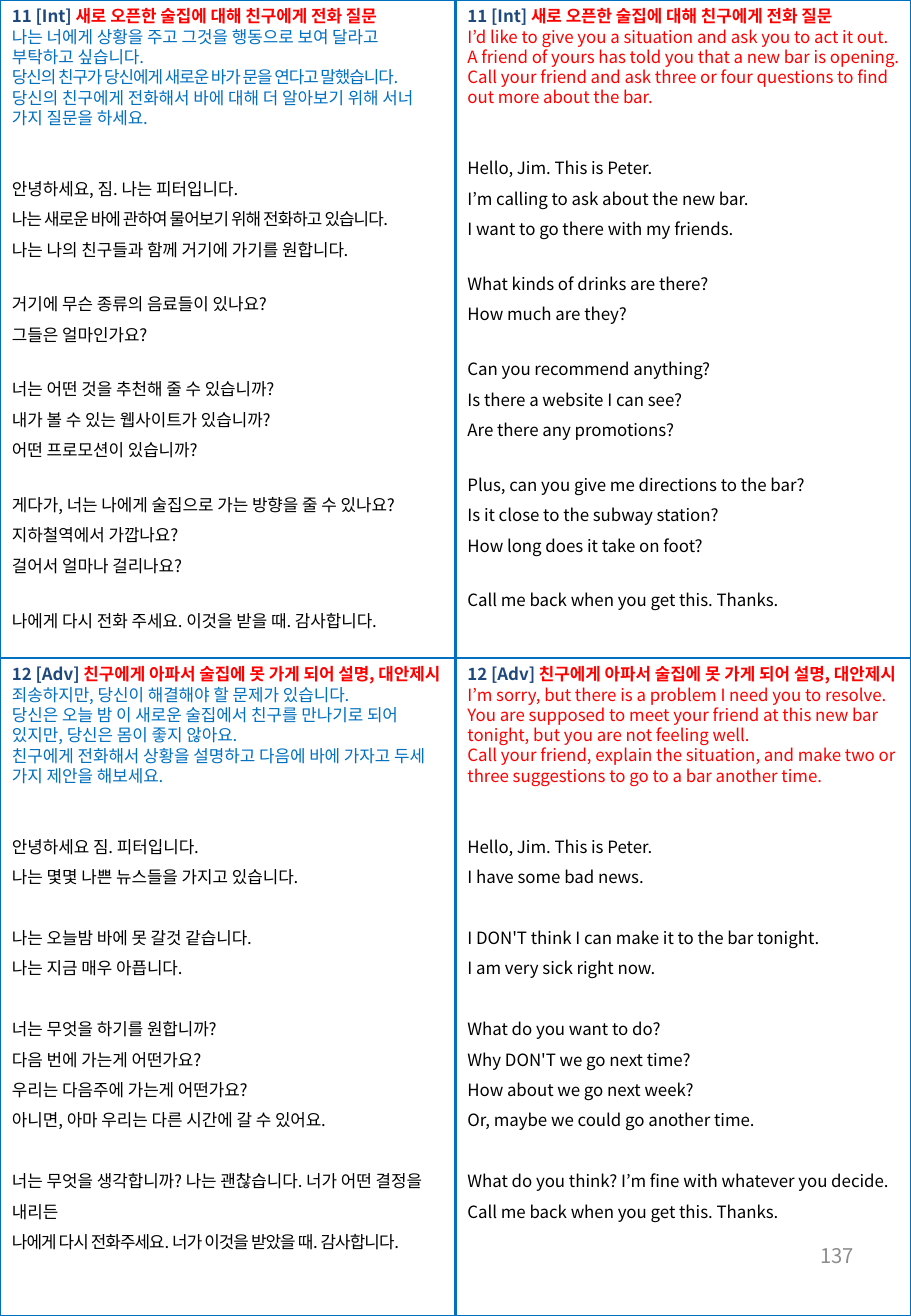
import pptx
import pptx.util
import pptx.dml.color
import pptx.enum.shapes
import pptx.enum.text
import pptx.oxml
import pptx.oxml.ns

Inches, Pt = pptx.util.Inches, pptx.util.Pt
COLORS = {"rule": "0070C0", "label": "1F497D", "red": "FF0000",
          "blue": "0070C0", "answer": "000000", "page": "8C8C8C"}
FONT = "Noto Sans CJK KR"
WIDTH, HEIGHT = 7.5, 10.83
MIDDLE_X, MIDDLE_Y = WIDTH / 2, HEIGHT / 2
BAR_TOPIC = "새로 오픈한 술집에 대해 친구에게 전화 질문"
SICK_TOPIC = "친구에게 아파서 술집에 못 가게 되어 설명, 대안제시"

CARDS = [
    dict(box=(0, 0, MIDDLE_X, 5.45), label="11 [Int] ", topic=BAR_TOPIC, prompt_color="blue", gap=14.4,
         prompt=["나는 너에게 상황을 주고 그것을 행동으로 보여 달라고 부탁하고 싶습니다.",
                 ("당신의 친구가 당신에게 새로운 바가 문을 연다고 말했습니다.", -0.6),
                 "당신의 친구에게 전화해서 바에 대해 더 알아보기 위해 서너 가지 질문을 하세요."],
         answer=[["안녕하세요, 짐. 나는 피터입니다.",
                  ("나는 새로운 바에 관하여 물어보기 위해 전화하고 있습니다.", -0.5),
                  "나는 나의 친구들과 함께 거기에 가기를 원합니다."],
                 ["거기에 무슨 종류의 음료들이 있나요?", "그들은 얼마인가요?"],
                 ["너는 어떤 것을 추천해 줄 수 있습니까?", "내가 볼 수 있는 웹사이트가 있습니까?",
                  "어떤 프로모션이 있습니까?"],
                 ["게다가, 너는 나에게 술집으로 가는 방향을 줄 수 있나요?", "지하철역에서 가깝나요?",
                  "걸어서 얼마나 걸리나요?"],
                 ["나에게 다시 전화 주세요. 이것을 받을 때. 감사합니다."]]),
    dict(box=(MIDDLE_X, 0, MIDDLE_X, 5.44), label="11 [Int] ", topic=BAR_TOPIC, prompt_color="red", gap=14.4,
         prompt=["I’d like to give you a situation and ask you to act it out.",
                 "A friend of yours has told you that a new bar is opening.",
                 "Call your friend and ask three or four questions to find out more about the bar."],
         answer=[["Hello, Jim. This is Peter.", "I’m calling to ask about the new bar.",
                  "I want to go there with my friends."],
                 ["What kinds of drinks are there?", "How much are they?"],
                 ["Can you recommend anything?", "Is there a website I can see?",
                  "Are there any promotions?"],
                 ["Plus, can you give me directions to the bar?", "Is it close to the subway station?",
                  "How long does it take on foot?"],
                 ["Call me back when you get this. Thanks."]]),
    dict(box=(0, MIDDLE_Y, MIDDLE_X, 5.12), label="12 [Adv] ", topic=SICK_TOPIC, prompt_color="blue", gap=18,
         prompt=["죄송하지만, 당신이 해결해야 할 문제가 있습니다.",
                 "당신은 오늘 밤 이 새로운 술집에서 친구를 만나기로 되어 있지만, 당신은 몸이 좋지 않아요.",
                 "친구에게 전화해서 상황을 설명하고 다음에 바에 가자고 두세 가지 제안을 해보세요."],
         answer=[["안녕하세요 짐. 피터입니다.", "나는 몇몇 나쁜 뉴스들을 가지고 있습니다."],
                 ["나는 오늘밤 바에 못 갈것 같습니다.", "나는 지금 매우 아픕니다."],
                 ["너는 무엇을 하기를 원합니까?", "다음 번에 가는게 어떤가요?",
                  "우리는 다음주에 가는게 어떤가요?", "아니면, 아마 우리는 다른 시간에 갈 수 있어요."],
                 ["너는 무엇을 생각합니까? 나는 괜찮습니다. 너가 어떤 결정을 내리든",
                  ("나에게 다시 전화주세요. 너가 이것을 받았을 때. 감사합니다.", -0.5)]]),
    dict(box=(MIDDLE_X, MIDDLE_Y, MIDDLE_X, 4.86), label="12 [Adv] ", topic=SICK_TOPIC, prompt_color="red", gap=18,
         prompt=["I’m sorry, but there is a problem I need you to resolve.",
                 "You are supposed to meet your friend at this new bar tonight, but you are not feeling well.",
                 "Call your friend, explain the situation, and make two or three suggestions "
                 "to go to a bar another time."],
         answer=[["Hello, Jim. This is Peter.", "I have some bad news."],
                 ["I DON'T think I can make it to the bar tonight.", "I am very sick right now."],
                 ["What do you want to do?", "Why DON'T we go next time?",
                  "How about we go next week?", "Or, maybe we could go another time."],
                 ["What do you think? I’m fine with whatever you decide.",
                  "Call me back when you get this. Thanks."]]),
]


def rgb(name):
    """Return the named colour."""
    return pptx.dml.color.RGBColor.from_string(COLORS[name])


def add_run(paragraph, text, color, size=10, bold=False, tracking=0):
    """Append one formatted run to a paragraph."""
    run = paragraph.add_run()
    run.text = text
    run.font.size, run.font.bold, run.font.name = Pt(size), bold, FONT
    run.font.color.rgb = rgb(color)
    properties = run.font._element
    pptx.oxml.ns.qn("a:ea")
    east_asian = properties.makeelement(pptx.oxml.ns.qn("a:ea"), {"typeface": FONT})
    properties.find(pptx.oxml.ns.qn("a:latin")).addnext(east_asian)
    if tracking:
        properties.set("spc", str(round(tracking * 100)))


def add_line(frame, line, color, spacing=1.0, before=0):
    """Append one paragraph, given as text or as text with its tracking."""
    text, tracking = line if isinstance(line, tuple) else (line, 0)
    paragraph = frame.add_paragraph()
    paragraph.line_spacing, paragraph.space_before = spacing, Pt(before)
    add_run(paragraph, text, color, tracking=tracking)


def add_card(slide, box, label, topic, prompt_color, prompt, answer, gap):
    """Place one question card: heading, prompt and grouped answer."""
    frame = slide.shapes.add_textbox(*map(Inches, box)).text_frame
    frame.word_wrap = True
    frame.auto_size = pptx.enum.text.MSO_AUTO_SIZE.SHAPE_TO_FIT_TEXT
    heading = frame.paragraphs[0]
    add_run(heading, label, "label", bold=True)
    add_run(heading, topic, "red", bold=True)
    for line in prompt:
        add_line(frame, line, prompt_color)
    for group_index, group in enumerate(answer):
        for line_index, line in enumerate(group):
            before = 0 if line_index else gap if group_index else 24
            add_line(frame, line, "answer", 1.5, before)


def add_grid(slide, left, top, width, height):
    """Draw the page frame and the two rules that quarter it."""
    border = slide.shapes.add_shape(pptx.enum.shapes.MSO_SHAPE.RECTANGLE,
                                    *map(Inches, (left, top, width, height)))
    border.shadow.inherit = False
    border.fill.background()
    border.line.color.rgb, border.line.width = rgb("rule"), Pt(1.5)
    for start, end in ((1, 3), (0, 2)):
        rule = slide.shapes.add_connector(pptx.enum.shapes.MSO_CONNECTOR.STRAIGHT, 0, 0, 0, 0)
        rule.begin_connect(border, start)
        rule.end_connect(border, end)
        rule.line.color.rgb, rule.line.width = rgb("rule"), Pt(1.5)
        pptx.oxml.ns.qn("a:effectLst")
        properties = rule._element.spPr
        properties.append(properties.makeelement(pptx.oxml.ns.qn("a:effectLst"), {}))


def add_page_number(slide, left, top, width, height):
    """Place the page number at the right of its box."""
    frame = slide.shapes.add_textbox(*map(Inches, (left, top, width, height))).text_frame
    frame.word_wrap = True
    frame.vertical_anchor = pptx.enum.text.MSO_ANCHOR.MIDDLE
    frame.paragraphs[0].alignment = pptx.enum.text.PP_ALIGN.RIGHT
    add_run(frame.paragraphs[0], "137", "page", 12)


def main():
    """Build the page of question cards."""
    deck = pptx.Presentation()
    deck.slide_width, deck.slide_height = Inches(WIDTH), Inches(HEIGHT)
    slide = deck.slides.add_slide(deck.slide_layouts[6])
    add_grid(slide, 0, 0, WIDTH, HEIGHT)
    add_page_number(slide, 5.38, 10.04, 1.75, 0.58)
    for card in CARDS:
        add_card(slide, **card)
    deck.save("out.pptx")


if __name__ == "__main__":
    main()
